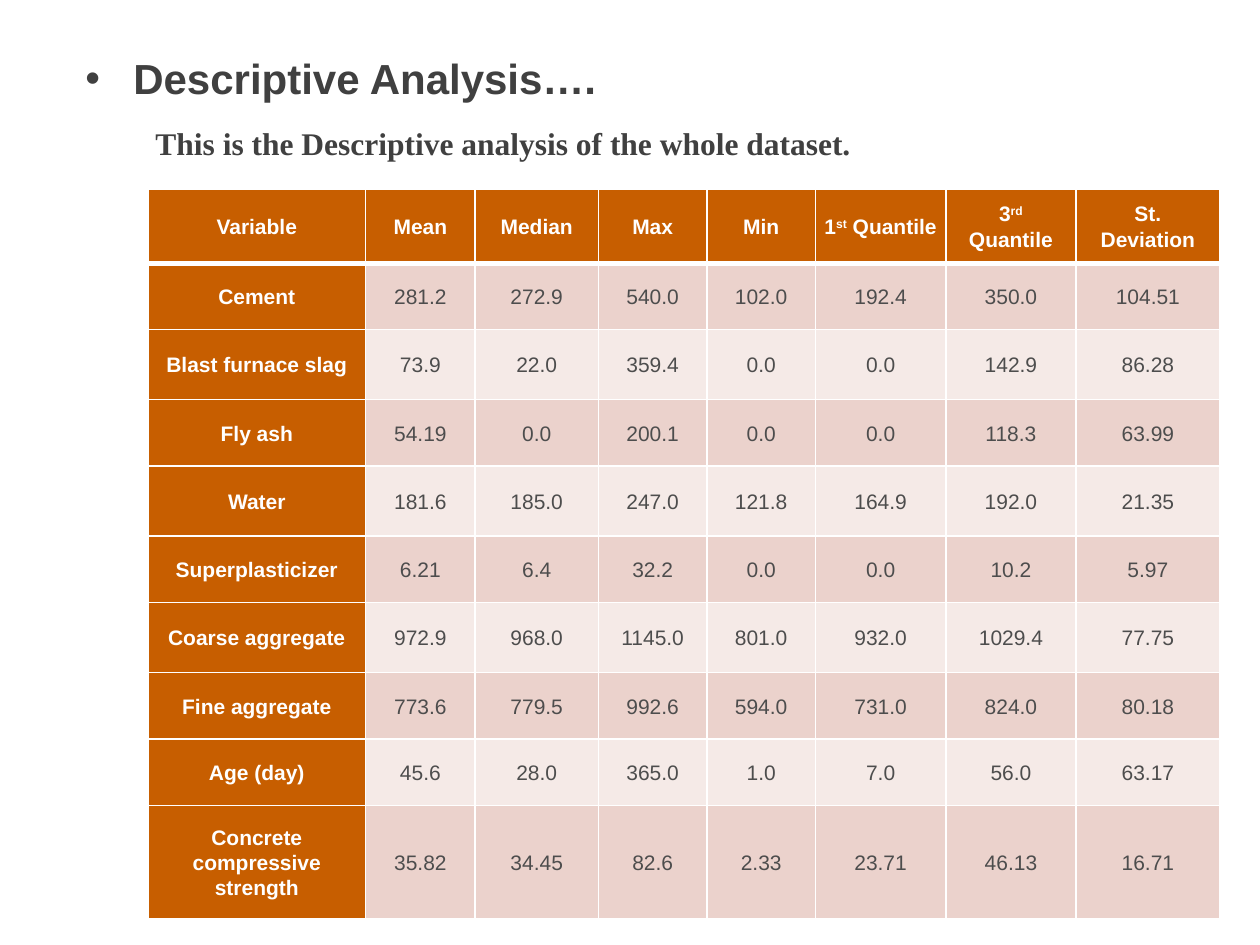
import pptx
import pptx.dml.color
import pptx.enum.text
import pptx.oxml.ns
import pptx.util
from lxml import etree

Pt = pptx.util.Pt
RGBColor = pptx.dml.color.RGBColor
PP_ALIGN = pptx.enum.text.PP_ALIGN
ANCHOR = pptx.enum.text.MSO_ANCHOR
qn = pptx.oxml.ns.qn

WHITE = RGBColor(0xFF, 0xFF, 0xFF)
HEADING_GRAY = RGBColor(0x40, 0x40, 0x40)
VALUE_GRAY = RGBColor(0x4D, 0x4D, 0x4D)
ORANGE = RGBColor(0xC7, 0x5E, 0x00)
BANDS = (RGBColor(0xEB, 0xD2, 0xCC), RGBColor(0xF5, 0xEA, 0xE7))

# Content
TITLE = "Descriptive Analysis…."
SUBTITLE = "This is the Descriptive analysis of the whole dataset."
# A header is a plain label or (number, superscript, rest)
HEADERS = ["Variable", "Mean", "Median", "Max", "Min",
           ("1", "st", " Quantile"), ("3", "rd", " Quantile"), "St. Deviation"]
STATISTICS = [
    ("Cement", "281.2", "272.9", "540.0", "102.0", "192.4", "350.0", "104.51"),
    ("Blast furnace slag", "73.9", "22.0", "359.4", "0.0", "0.0", "142.9", "86.28"),
    ("Fly ash", "54.19", "0.0", "200.1", "0.0", "0.0", "118.3", "63.99"),
    ("Water", "181.6", "185.0", "247.0", "121.8", "164.9", "192.0", "21.35"),
    ("Superplasticizer", "6.21", "6.4", "32.2", "0.0", "0.0", "10.2", "5.97"),
    ("Coarse aggregate", "972.9", "968.0", "1145.0", "801.0", "932.0", "1029.4", "77.75"),
    ("Fine aggregate", "773.6", "779.5", "992.6", "594.0", "731.0", "824.0", "80.18"),
    ("Age (day)", "45.6", "28.0", "365.0", "1.0", "7.0", "56.0", "63.17"),
    ("Concrete compressive strength", "35.82", "34.45", "82.6", "2.33", "23.71", "46.13", "16.71"),
]
COLUMN_WIDTHS = [124.5, 62.5, 70.5, 62, 62, 74.5, 74.5, 82]
ROW_HEIGHTS = [42.2, 38, 40, 38, 40, 38, 40, 38, 38, 64.5]
TABLE_LEFT, TABLE_TOP = 84.5, 108.25

HEADING_FORMAT = {"name": "Arial", "size": Pt(24), "bold": True}
SUBTITLE_FORMAT = {"name": "Times New Roman", "size": Pt(18), "bold": True}


def apply(target, values):
    for attribute, value in values.items():
        setattr(target, attribute, value)


def add_line(paragraph, text, left, hanging, font_format, bullet=None):
    properties = paragraph._p.get_or_add_pPr()
    properties.set("marL", str(Pt(left)))
    properties.set("indent", str(Pt(-hanging)))
    if bullet:
        etree.SubElement(properties, qn("a:buFont")).set("typeface", "Arial")
        etree.SubElement(properties, qn("a:buChar")).set("char", bullet)
    paragraph.alignment = PP_ALIGN.JUSTIFY
    run = paragraph.add_run()
    run.text = text
    apply(run.font, font_format)
    run.font.color.rgb = HEADING_GRAY


def set_borders(cell, bottom_width):
    # Borders must come before the fill in the cell properties
    properties = cell._tc.get_or_add_tcPr()
    widths = {"a:lnL": 1, "a:lnR": 1, "a:lnT": 1, "a:lnB": bottom_width}
    for side, width in widths.items():
        line = etree.SubElement(properties, qn(side), w=str(Pt(width)))
        fill = etree.SubElement(line, qn("a:solidFill"))
        etree.SubElement(fill, qn("a:srgbClr"), val=str(WHITE))


def fill_cell(cell, content, row, column):
    heading = row == 0 or column == 0
    set_borders(cell, 3 if row == 0 else 1)
    cell.fill.solid()
    cell.fill.fore_color.rgb = ORANGE if heading else BANDS[(row - 1) % 2]
    apply(cell, {"vertical_anchor": ANCHOR.MIDDLE, "margin_left": Pt(5),
                 "margin_right": Pt(5), "margin_top": 0, "margin_bottom": 0})
    paragraph = cell.text_frame.paragraphs[0]
    apply(paragraph, {"alignment": PP_ALIGN.CENTER, "line_spacing": 1.07})
    pieces = (content,) if isinstance(content, str) else content
    for position, piece in enumerate(pieces):
        run = paragraph.add_run()
        run.text = piece
        apply(run.font, {"name": "Arial", "size": Pt(12), "bold": heading})
        run.font.color.rgb = WHITE if heading else VALUE_GRAY
        if position == 1:
            run._r.get_or_add_rPr().set("baseline", "30000")


presentation = pptx.Presentation()
apply(presentation, {"slide_width": Pt(720), "slide_height": Pt(540)})
slide = presentation.slides.add_slide(presentation.slide_layouts[6])

# Heading and subtitle
heading_box = slide.shapes.add_textbox(Pt(41.75), Pt(23.75), Pt(669.5), Pt(516))
heading_box.fill.solid()
heading_box.fill.fore_color.rgb = WHITE
heading = heading_box.text_frame
apply(heading, {"word_wrap": True, "margin_top": Pt(6.5)})
add_line(heading.paragraphs[0], TITLE, 27.36, 27.36, HEADING_FORMAT, "•")
subtitle = heading.add_paragraph()
subtitle.space_before = Pt(12)
add_line(subtitle, SUBTITLE, 40, 0, SUBTITLE_FORMAT)

# Statistics table
rows = [HEADERS] + STATISTICS
statistics = slide.shapes.add_table(
    len(rows), len(HEADERS), Pt(TABLE_LEFT), Pt(TABLE_TOP),
    Pt(sum(COLUMN_WIDTHS)), Pt(sum(ROW_HEIGHTS))).table
for column, width in zip(statistics.columns, COLUMN_WIDTHS):
    column.width = Pt(width)
for row, height in zip(statistics.rows, ROW_HEIGHTS):
    row.height = Pt(height)
for r, values in enumerate(rows):
    for c, content in enumerate(values):
        fill_cell(statistics.cell(r, c), content, r, c)

presentation.save("out.pptx")
